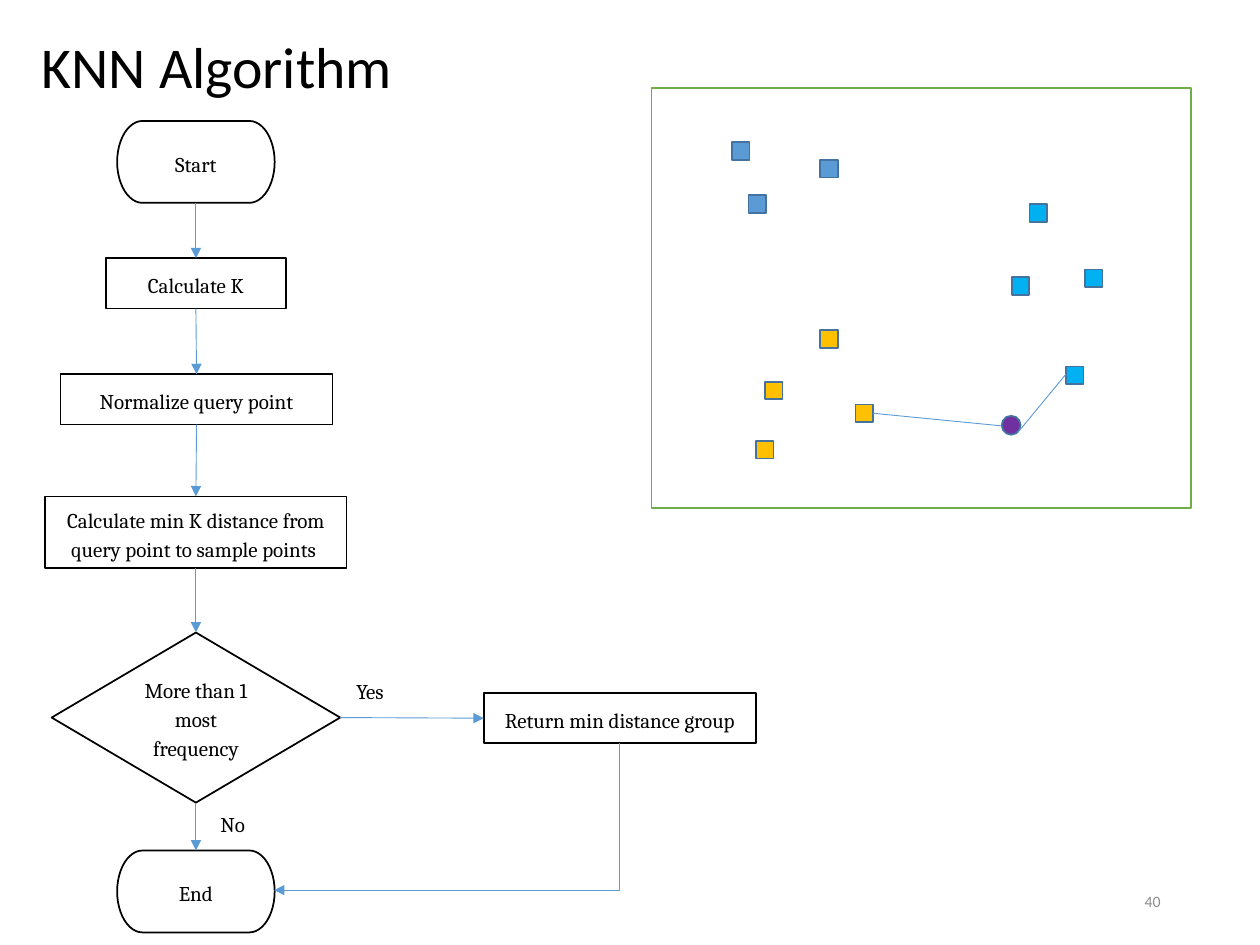
from pptx import Presentation
from pptx.dml.color import RGBColor
from pptx.enum.shapes import MSO_CONNECTOR as LINK, MSO_SHAPE as SHAPE
from pptx.enum.text import MSO_ANCHOR as ANCHOR, PP_ALIGN as ALIGN
from pptx.oxml.ns import qn
from pptx.util import Inches, Pt
from lxml.etree import SubElement

BLUE, EDGE = "5B9BD5", "43739E"
TOP, LEFT, BOTTOM, RIGHT = range(4)  # connection sites

prs = Presentation()
prs.slide_width, prs.slide_height = Inches(10), Inches(7.5)
slide = prs.slides.add_slide(prs.slide_layouts[5])
shapes = slide.shapes


def rgb(value):
    return RGBColor.from_string(value)


def write(frame, text, font="Cambria", size=12, color="000000", align=ALIGN.CENTER,
          anchor=ANCHOR.MIDDLE, spacing=1.15, after=10, wrap=True):
    frame.word_wrap = wrap
    frame.vertical_anchor = anchor
    paragraph = frame.paragraphs[0]
    paragraph.text = text
    paragraph.alignment = align
    paragraph.line_spacing = spacing
    paragraph.space_before, paragraph.space_after = Pt(0), Pt(after)
    paragraph.font.name, paragraph.font.size = font, Pt(size)
    paragraph.font.color.rgb = rgb(color)


# Title
title = shapes.title
title.left, title.top, title.width, title.height = map(Inches, (0.23, 0.17, 6.94, 0.76))
write(title.text_frame, "KNN Algorithm", font="Calibri", size=33, align=ALIGN.LEFT,
      spacing=0.9, after=0)

# Scatter panel: frame, three sample groups and the query point
SIDE = 0.14
groups = {
    BLUE: [(5.81, 1.13), (5.94, 1.55), (6.51, 1.27)],
    "00B0F0": [(8.17, 1.62), (8.03, 2.2), (8.61, 2.14), (8.46, 2.91)],
    "FFC000": [(6.51, 2.62), (6.07, 3.03), (6.79, 3.21), (6, 3.5)],
}
panel = [(SHAPE.RECTANGLE, 5.17, 0.7, 4.28, 3.33, "FFFFFF", "70AD47")]
for color, points in groups.items():
    panel += [(SHAPE.RECTANGLE, x, y, SIDE, SIDE, color, EDGE) for x, y in points]
panel.append((SHAPE.OVAL, 7.95, 3.3, 0.15, 0.15, "7030A0", EDGE))

# Flowchart steps
steps = {
    "Start": (SHAPE.FLOWCHART_TERMINATOR, 0.93, 0.96, 1.25, 0.65),
    "Calculate K": (SHAPE.RECTANGLE, 0.84, 2.05, 1.43, 0.4),
    "Normalize query point": (SHAPE.RECTANGLE, 0.48, 2.97, 2.16, 0.4),
    "Calculate min K distance from query point to sample points ":
        (SHAPE.RECTANGLE, 0.36, 3.94, 2.39, 0.57),
    "More than 1 most frequency": (SHAPE.FLOWCHART_DECISION, 0.41, 5.02, 2.29, 1.35),
    "End": (SHAPE.FLOWCHART_TERMINATOR, 0.93, 6.75, 1.25, 0.65),
    "Return min distance group": (SHAPE.RECTANGLE, 3.84, 5.5, 2.16, 0.4),
}
items = [(None, *part) for part in panel]
items += [(text, *place, "FFFFFF", "000000") for text, place in steps.items()]
boxes = []
for text, kind, x, y, width, height, fill, outline in items:
    box = shapes.add_shape(kind, Inches(x), Inches(y), Inches(width), Inches(height))
    box.shadow.inherit = False
    box.fill.solid()
    box.fill.fore_color.rgb = rgb(fill)
    box.line.color.rgb = rgb(outline)
    box.line.width = Pt(1)
    if text:
        write(box.text_frame, text)
        boxes.append(box)

# Connectors: flow arrows glued to the steps, then the elbow and distance lines
*main_flow, return_group = boxes
decision = main_flow[-2]
arrows = []
joints = [(a, BOTTOM, b, TOP) for a, b in zip(main_flow, main_flow[1:])]
joints.append((decision, RIGHT, return_group, LEFT))
for source, exit_site, target, entry_site in joints:
    arrow = shapes.add_connector(LINK.STRAIGHT, 0, 0, 0, 0)
    arrow.begin_connect(source, exit_site)
    arrow.end_connect(target, entry_site)
    arrows.append(arrow)

# One-bend elbow, turned a quarter so it runs down and then left
elbow = shapes.add_connector(LINK.ELBOW, *map(Inches, (2.96, 5.11, 4.13, 7.85)))
properties = elbow._element.spPr
properties.find(qn("a:xfrm")).set("rot", str(90 * 60000))
properties.find(qn("a:prstGeom")).set("prst", "bentConnector2")
arrows.append(elbow)

distances = [shapes.add_connector(LINK.STRAIGHT, *map(Inches, ends))
             for ends in [(8.08, 3.43, 8.46, 2.97), (7.95, 3.38, 6.93, 3.28)]]

for connector in arrows + distances:
    connector.line.color.rgb = rgb(BLUE)
    connector.line.width = Pt(0.5)
    if connector in arrows:
        SubElement(connector.line._get_or_add_ln(), qn("a:tailEnd"), type="triangle")
    SubElement(connector._element.spPr, qn("a:effectLst"))

# Branch labels and page number
branch = dict(align=ALIGN.LEFT, anchor=ANCHOR.TOP, wrap=False)
page = dict(font="Calibri", size=9, color="8C8C8C", align=ALIGN.RIGHT, spacing=1, after=0)
for text, place, style in [
    ("No", (1.65, 6.36, 0.49, 0.49), branch),
    ("Yes", (2.73, 5.31, 0.55, 0.49), branch),
    ("40", (7.06, 6.95, 2.25, 0.4), page),
]:
    label = shapes.add_textbox(*map(Inches, place))
    write(label.text_frame, text, **style)

prs.save("out.pptx")
